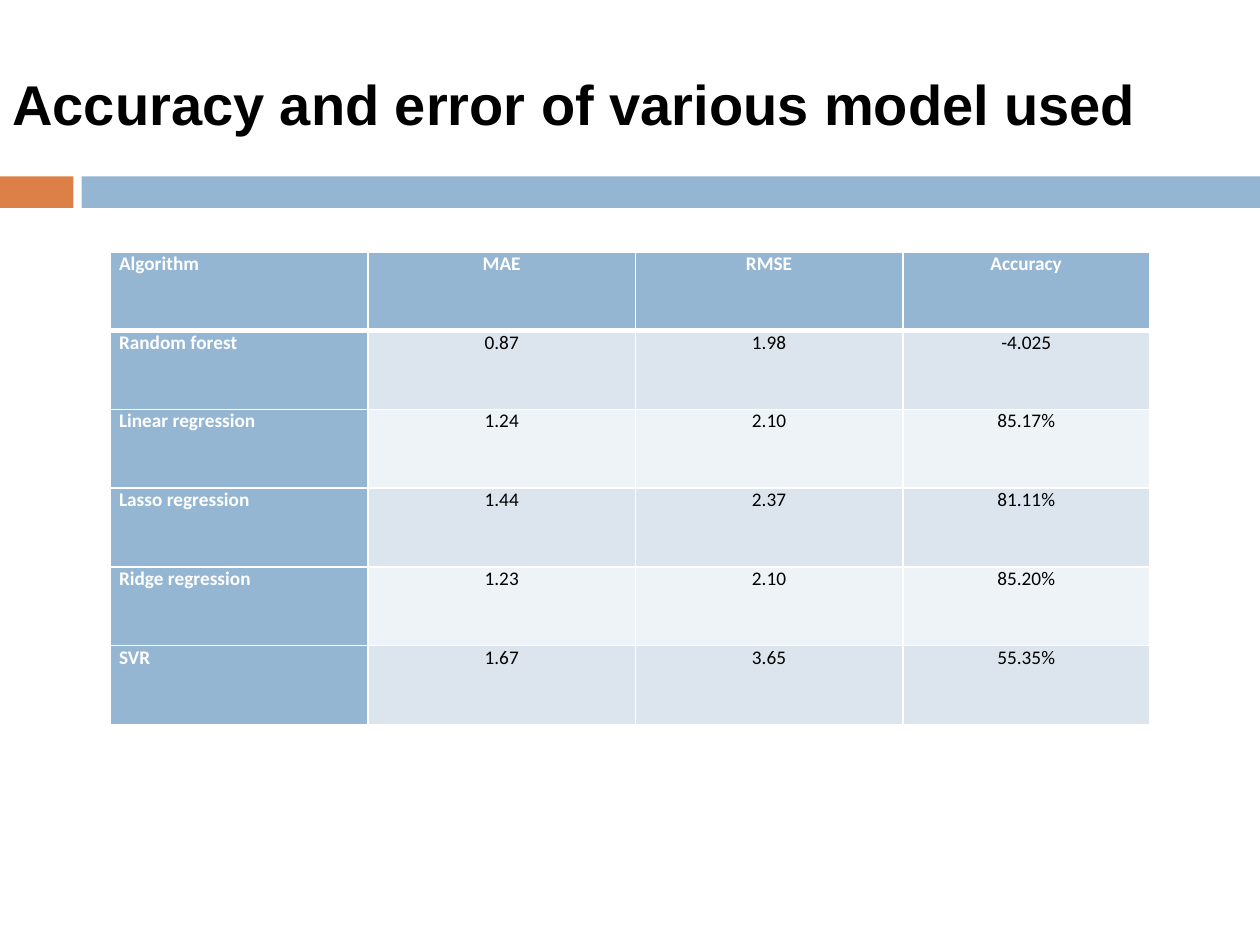
"""Build a slide that tabulates accuracy and error for regression models."""
from lxml import etree
from pptx import Presentation
from pptx import util as u
from pptx.dml.color import RGBColor
from pptx.enum import shapes, text
from pptx.oxml.ns import qn

TITLE = "Accuracy and error of various model used"
ROWS = [
    ("Algorithm", "MAE", "RMSE", "Accuracy"),
    ("Random forest", "0.87", "1.98", "-4.025"),
    ("Linear regression", "1.24", "2.10", "85.17%"),
    ("Lasso regression", "1.44", "2.37", "81.11%"),
    ("Ridge regression", "1.23", "2.10", "85.20%"),
    ("SVR", "1.67", "3.65", "55.35%"),
]
COLORS = {
    "accent": "DD8047",
    "header": "94B6D2",
    "odd": "DCE5EE",
    "even": "EEF3F7",
    "white": "FFFFFF",
    "black": "000000",
}
WIDTH, HEIGHT = 720, 540
BAND_TOP, BAND_HEIGHT = 100.8, 18
BANDS = [(0, 42, "accent"), (46.6, WIDTH - 46.6, "header")]
TABLE_LEFT, TABLE_TOP, ROW_HEIGHT = 63, 144, 45
COLUMN_WIDTHS = [147.3, 152.8, 152.8, 141.1]
CELL_MARGIN = 5


def color(name):
    return RGBColor.from_string(COLORS[name])


def style_text(paragraph, font_name, size, color_name, bold):
    for run in paragraph.runs:
        run.font.name = font_name
        run.font.size = u.Pt(size)
        run.font.color.rgb = color(color_name)
        run.font.bold = bold


def add_band(slide, left, width, color_name):
    band = slide.shapes.add_shape(
        shapes.MSO_SHAPE.RECTANGLE,
        u.Pt(left), u.Pt(BAND_TOP), u.Pt(width), u.Pt(BAND_HEIGHT))
    band.shadow.inherit = False
    band.fill.solid()
    band.fill.fore_color.rgb = color(color_name)
    band.line.fill.background()


def add_borders(cell, widths):
    properties = cell._tc.get_or_add_tcPr()
    for side, width in widths.items():
        line = etree.SubElement(properties, qn(f"a:ln{side}"), w=str(u.Pt(width)))
        fill = etree.SubElement(line, qn("a:solidFill"))
        etree.SubElement(fill, qn("a:srgbClr"), val=COLORS["white"])


def format_cell(cell, value, row, column):
    is_header = row == 0 or column == 0
    cell.margin_left = cell.margin_right = u.Pt(CELL_MARGIN)
    cell.margin_top = cell.margin_bottom = 0
    add_borders(cell, {"L": 1, "R": 1, "T": 3 if row == 1 else 1, "B": 3 if row == 0 else 1})
    cell.fill.solid()
    cell.fill.fore_color.rgb = color("header" if is_header else "odd" if row % 2 else "even")
    cell.text_frame.text = value
    paragraph = cell.text_frame.paragraphs[0]
    paragraph.alignment = text.PP_ALIGN.CENTER if column else text.PP_ALIGN.LEFT
    style_text(paragraph, "Calibri", 11, "white" if is_header else "black", is_header)


def add_results_table(slide):
    table = slide.shapes.add_table(
        len(ROWS), len(COLUMN_WIDTHS), u.Pt(TABLE_LEFT), u.Pt(TABLE_TOP),
        u.Pt(sum(COLUMN_WIDTHS)), u.Pt(ROW_HEIGHT * len(ROWS))).table
    table.first_col = True
    for column, width in zip(table.columns, COLUMN_WIDTHS):
        column.width = u.Pt(width)
    for row, values in enumerate(ROWS):
        table.rows[row].height = u.Pt(ROW_HEIGHT)
        for column, value in enumerate(values):
            format_cell(table.cell(row, column), value, row, column)


def add_title(slide):
    title = slide.shapes.add_textbox(0, u.Pt(36), u.Pt(WIDTH), u.Pt(85))
    title.text_frame.word_wrap = True
    title.text_frame.text = TITLE
    style_text(title.text_frame.paragraphs[0], "Arial", 32, "black", True)


def main():
    presentation = Presentation()
    presentation.slide_width, presentation.slide_height = u.Pt(WIDTH), u.Pt(HEIGHT)
    slide = presentation.slides.add_slide(presentation.slide_layouts[6])
    for band in BANDS:
        add_band(slide, *band)
    add_results_table(slide)
    add_title(slide)
    presentation.save("out.pptx")


if __name__ == "__main__":
    main()
